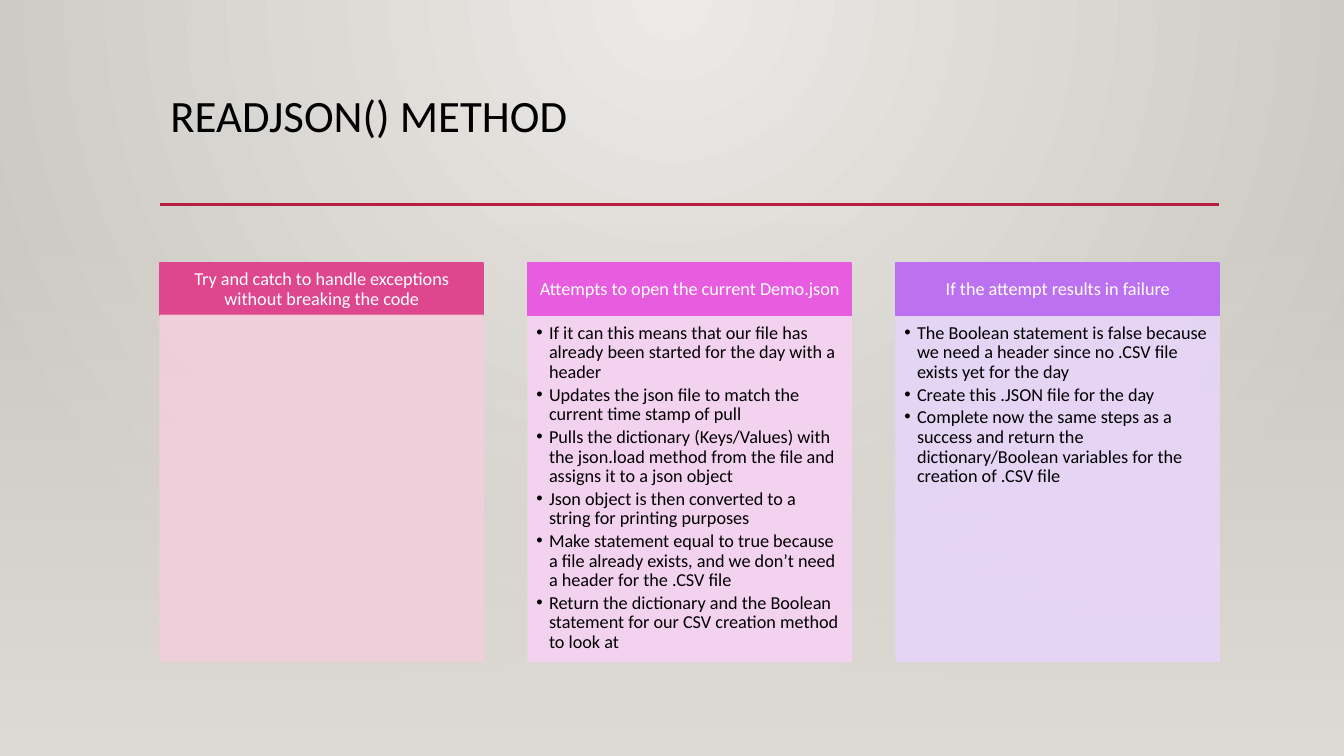
import pptx
import pptx.util
import pptx.dml.color
import pptx.enum.shapes
import pptx.enum.text
import pptx.oxml
import pptx.oxml.ns
from dataclasses import dataclass

Inches, Pt = pptx.util.Inches, pptx.util.Pt
ANCHOR, ALIGN = pptx.enum.text.MSO_ANCHOR, pptx.enum.text.PP_ALIGN
RECT = pptx.enum.shapes.MSO_SHAPE.RECTANGLE
qn = pptx.oxml.ns.qn


@dataclass(frozen=True)
class Theme:
    font: str = "Calibri"
    title: int = 32
    text: int = 13
    dark: str = "000000"
    light: str = "FFFFFF"
    rule: str = "B71E42"
    glow: tuple = ("ECEAE7", "CAC7C1")
    floor: str = "DFDBD5"


THEME = Theme()

# Each column: header, header colour, panel colour, points
COLUMNS = [
    ("Try and catch to handle exceptions without breaking the code",
     "DE478E", "F2CFDB", []),
    ("Attempts to open the current Demo.json", "E85CE0", "F6D2F3", [
        "If it can this means that our file has already been started for the day with a header",
        "Updates the json file to match the current time stamp of pull",
        "Pulls the dictionary (Keys/Values) with the json.load method from the file and assigns it to a json object",
        "Json object is then converted to a string for printing purposes",
        "Make statement equal to true because a file already exists, and we don’t need a header for the .CSV file",
        "Return the dictionary and the Boolean statement for our CSV creation method to look at",
    ]),
    ("If the attempt results in failure", "BC72F0", "E7D5F9", [
        "The Boolean statement is false because we need a header since no .CSV file exists yet for the day",
        "Create this .JSON file for the day",
        "Complete now the same steps as a success and return the dictionary/Boolean variables for the creation of .CSV file",
    ]),
]


def rgb(code):
    return pptx.dml.color.RGBColor.from_string(code)


def assign(item, values):
    for name, value in values.items():
        setattr(item, name, value)


def place(shape, box):
    names = ("left", "top", "width", "height")
    assign(shape, {name: Inches(size) for name, size in zip(names, box)})


def fade(root, share):
    """Set the opacity, in percent, of every colour under root."""
    for color in root.iter(qn("a:srgbClr")):
        alpha = color.makeelement(qn("a:alpha"), {"val": str(share * 1000)})
        color.append(alpha)


def blend(fill, colors):
    fill.gradient()
    for stop, color in zip(fill.gradient_stops, colors):
        stop.color.rgb = rgb(color)
    for stop, spot in zip(fill.gradient_stops, (0, 1)):
        stop.position = spot


def paint(shape, color):
    shape.fill.solid()
    shape.fill.fore_color.rgb = rgb(color)
    shape.line.color.rgb = rgb(color)
    shape.line.width = Pt(1.25)
    shape.shadow.inherit = False


def write(shape, lines, size, color, inset, anchor, align, after=0):
    """Fill a shape with paragraphs in one format."""
    frame = shape.text_frame
    frame.text = "\n".join(lines)
    sides = ("margin_left", "margin_top", "margin_right", "margin_bottom")
    assign(frame, {side: Inches(gap) for side, gap in zip(sides, inset)})
    assign(frame, {"word_wrap": True, "vertical_anchor": anchor,
                   "auto_size": pptx.enum.text.MSO_AUTO_SIZE.NONE})
    for para in frame.paragraphs:
        assign(para, {"alignment": align, "line_spacing": 0.9,
                      "space_before": Pt(0), "space_after": Pt(after)})
        assign(para.runs[0].font, {"name": THEME.font, "size": Pt(size)})
        para.runs[0].font.color.rgb = rgb(color)


def backdrop(slide, box):
    """Radial glow on the page, with a floor fading in over the box."""
    blend(slide.background.fill, THEME.glow)
    grad = next(slide._element.iter(qn("a:gradFill")))
    grad.replace(grad.find(qn("a:lin")), pptx.oxml.parse_xml(
        f'<a:path {pptx.oxml.ns.nsdecls("a")} path="circle">'
        '<a:fillToRect l="43000" t="0" r="43000" b="100000"/></a:path>'))

    floor = slide.shapes.add_shape(RECT, *map(Inches, box))
    floor.shadow.inherit = False
    floor.line.fill.background()
    blend(floor.fill, (THEME.floor, THEME.floor))
    floor.fill.gradient_angle = 270
    fade(next(floor._element.iter(qn("a:gs"))), 0)
    slide.shapes.title._element.addprevious(floor._element)


def heading(slide, box, text):
    """Title with a rule along the foot of the box."""
    title = slide.shapes.title
    place(title, box)
    write(title, [text], THEME.title, THEME.dark, (0.1, 0.05, 0.1, 0.05),
          ANCHOR.TOP, ALIGN.LEFT)
    left, top, width, height = box
    foot = Inches(top + height)
    rule = slide.shapes.add_connector(
        pptx.enum.shapes.MSO_CONNECTOR.STRAIGHT,
        Inches(left), foot, Inches(left + width), foot)
    rule.line.color.rgb = rgb(THEME.rule)
    rule.line.width = Pt(2.5)
    props = rule._element.spPr
    props.append(props.makeelement(qn("a:effectLst"), {}))


def column(slide, box, spec, body):
    """Header bar over a pale panel; body holds the points, if any."""
    label, strong, pale, points = spec
    left, top, width, height = box
    bar = 0.52

    head = slide.shapes.add_shape(RECT, *map(Inches, (left, top, width, bar)))
    paint(head, strong)
    write(head, [label], THEME.text, THEME.light, (0.1, 0.06, 0.1, 0.06),
          ANCHOR.MIDDLE, ALIGN.CENTER)

    area = (left, top + bar, width, height - bar)
    panel = body or slide.shapes.add_shape(RECT, *map(Inches, area))
    place(panel, area)
    paint(panel, pale)
    fade(panel._element.spPr, 90)
    if points:
        write(panel, points, THEME.text, THEME.dark, (0.08, 0.08, 0.1, 0.11),
              ANCHOR.TOP, ALIGN.LEFT, after=2)
        for para in panel.text_frame.paragraphs:
            props = para._p.get_or_add_pPr()
            props.set("marL", str(Inches(0.125)))
            props.set("indent", str(Inches(-0.125)))


def columns(slide, box, specs):
    """Equal columns across the box."""
    left, top, width, height = box
    gap = 0.45
    wide = (width - gap * (len(specs) - 1)) / len(specs)
    bodies = iter([slide.placeholders[1], slide.placeholders[2]])
    for rank, spec in enumerate(specs):
        body = next(bodies) if spec[3] else None
        column(slide, (left + rank * (wide + gap), top, wide, height),
               spec, body)


def main():
    deck = pptx.Presentation()
    deck.slide_width, deck.slide_height = Inches(13.33), Inches(7.5)
    slide = deck.slides.add_slide(deck.slide_layouts[3])
    backdrop(slide, (0, 2.21, 13.33, 5.29))
    heading(slide, (1.59, 0.88, 10.5, 1.15), "READJSON() METHOD")
    columns(slide, (1.59, 2.61, 10.5, 3.95), COLUMNS)
    deck.save("out.pptx")


if __name__ == "__main__":
    main()
